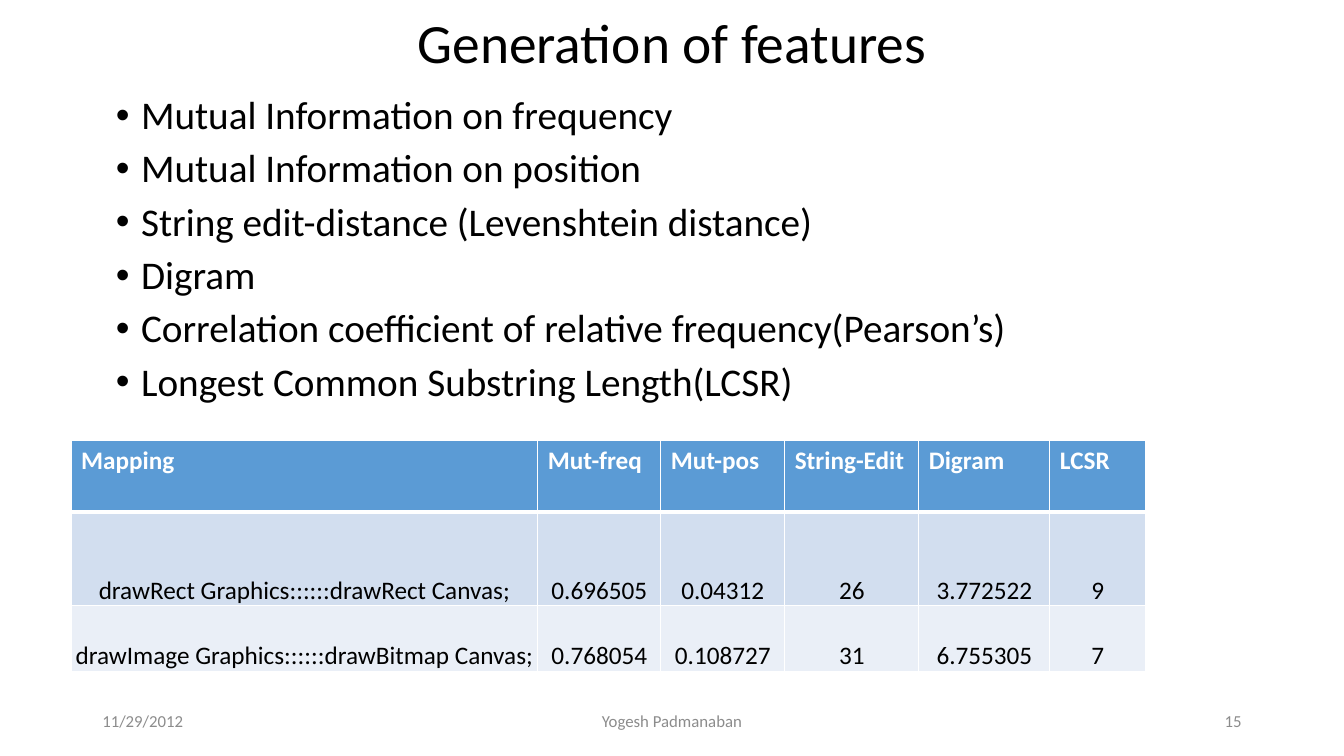
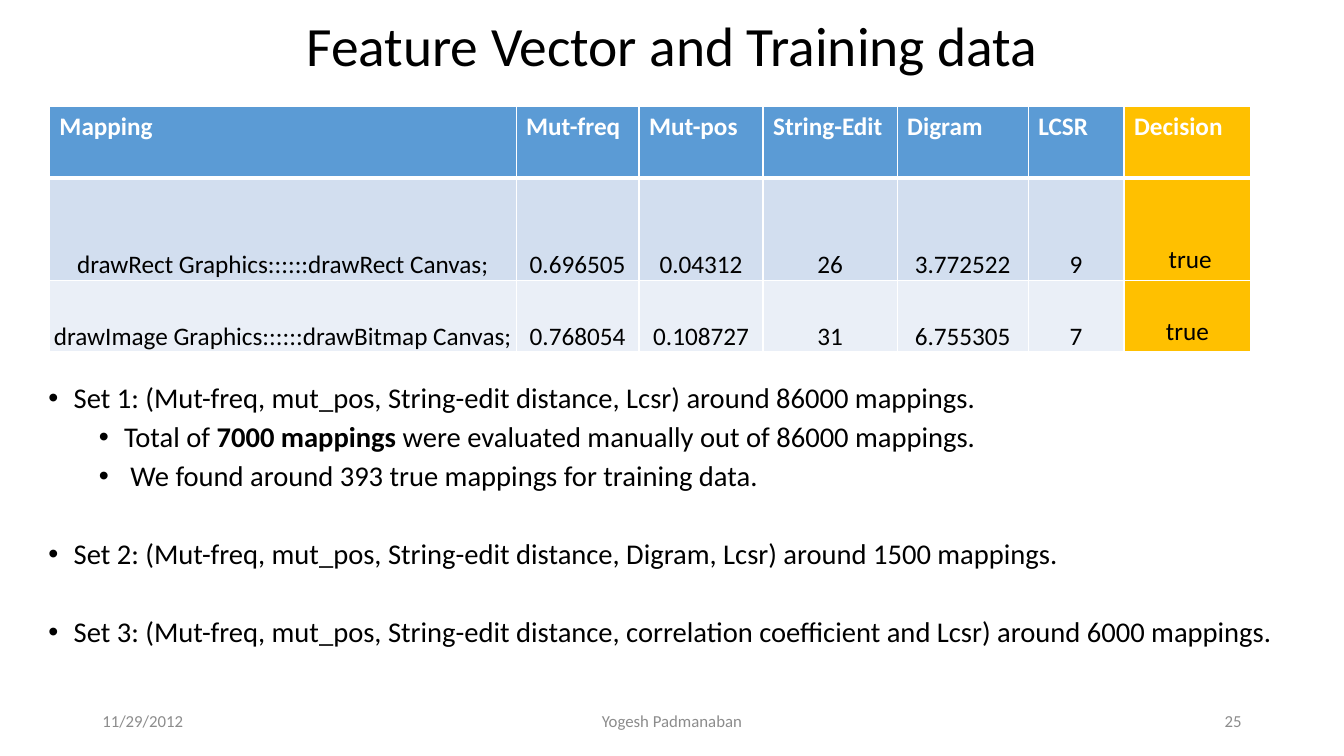
import dataclasses

import lxml.etree
import pptx
import pptx.dml.color
import pptx.enum.text
import pptx.oxml.ns
import pptx.util

Pt = pptx.util.Pt
Align = pptx.enum.text.PP_ALIGN
Anchor = pptx.enum.text.MSO_ANCHOR


@dataclasses.dataclass(frozen=True)
class Theme:
    font: str = "Calibri"
    text: str = "000000"
    light: str = "FFFFFF"
    muted: str = "8C8C8C"
    header: str = "5B9BD5"
    bands: tuple = ("D2DEEF", "EAEFF7")
    decision: str = "FFC000"
    title_size: float = 39.6
    table_size: float = 18
    footer_size: float = 12
    line_spacing: float = 0.9
    gap_ratio: float = 0.28


THEME = Theme()
SLIDE_WIDTH, SLIDE_HEIGHT = 960, 540
MARGIN = 66

FEATURES = [
    "Mutual Information on frequency",
    "Mutual Information on position",
    "String edit-distance (Levenshtein distance)",
    "Digram",
    "Correlation coefficient of relative frequency(Pearson’s)",
    "Longest Common Substring Length(LCSR)",
]
TRAINING_SETS = [
    (0, 0, ["Set 1: (Mut-freq, mut_pos, String-edit distance, Lcsr) around 86000 mappings."]),
    (1, 0, ["Total of ", "7000 mappings ", "were evaluated manually out of 86000 mappings."]),
    (1, 0, [" We found around 393 true mappings for training data."]),
    (0, 28, ["Set 2: (Mut-freq, mut_pos, String-edit distance, Digram, Lcsr) around 1500 mappings."]),
    (0, 28, ["Set 3: (Mut-freq, mut_pos, String-edit distance, correlation coefficient and Lcsr) "
             "around 6000 mappings."]),
]
MAPPING_ROWS = [
    ["Mapping", "Mut-freq", "Mut-pos", "String-Edit", "Digram", "LCSR"],
    ["drawRect Graphics::::::drawRect Canvas;", "0.696505", "0.04312", "26", "3.772522", "9"],
    ["drawImage Graphics::::::drawBitmap Canvas;", "0.768054", "0.108727", "31", "6.755305", "7"],
]
DECISIONS = ["Decision", " true", "true"]
MAPPING_WIDTHS = [333.4, 87.8, 88.6, 95.8, 93.6, 68.4]
DECISION_WIDTH = 90.7


def rgb(value):
    return pptx.dml.color.RGBColor.from_string(value)


def add_run(paragraph, text, size, color, bold=False):
    run = paragraph.add_run()
    run.text = text
    run.font.name = THEME.font
    run.font.size = Pt(size)
    run.font.bold = bold
    run.font.color.rgb = rgb(color)


def place(shape, left, top, width, height):
    shape.left, shape.top = Pt(left), Pt(top)
    shape.width, shape.height = Pt(width), Pt(height)


def prepare_frame(shape, anchor):
    frame = shape.text_frame
    frame.word_wrap = True
    frame.auto_size = pptx.enum.text.MSO_AUTO_SIZE.NONE
    frame.vertical_anchor = anchor
    return frame


def set_title(slide, text, top, height):
    title = slide.shapes.title
    place(title, MARGIN, top, SLIDE_WIDTH - 2 * MARGIN, height)
    paragraph = prepare_frame(title, Anchor.MIDDLE).paragraphs[0]
    paragraph.alignment = Align.CENTER
    paragraph.line_spacing = THEME.line_spacing
    add_run(paragraph, text, THEME.title_size, THEME.text)


def set_bullet(paragraph, level):
    paragraph.level = level
    properties = paragraph._p.get_or_add_pPr()
    properties.set("marL", str(Pt(18 + 36 * level)))
    properties.set("indent", str(-Pt(18)))
    for tag, name, value in (("a:buFont", "typeface", "Arial"), ("a:buChar", "char", "•")):
        element = lxml.etree.SubElement(properties, pptx.oxml.ns.qn(tag))
        element.set(name, value)


def set_list(slide, items, size, box):
    body = slide.placeholders[1]
    place(body, *box)
    frame = prepare_frame(body, Anchor.TOP)
    for index, (level, extra_gap, runs) in enumerate(items):
        paragraph = frame.add_paragraph() if index else frame.paragraphs[0]
        set_bullet(paragraph, level)
        paragraph.alignment = Align.LEFT
        paragraph.line_spacing = THEME.line_spacing
        paragraph.space_before = Pt(size * THEME.gap_ratio + extra_gap if index else 0)
        for position, text in enumerate(runs):
            add_run(paragraph, text, size, THEME.text, bold=position == 1)


def add_footer(slide, number):
    for text, left, width, alignment in (
        ("11/29/2012", MARGIN, 258, Align.LEFT),
        ("Yogesh Padmanaban", 366, 228, Align.CENTER),
        (number, 636, 258, Align.RIGHT),
    ):
        box = slide.shapes.add_textbox(Pt(left), Pt(500.4), Pt(width), Pt(28.8))
        paragraph = prepare_frame(box, Anchor.MIDDLE).paragraphs[0]
        paragraph.alignment = alignment
        add_run(paragraph, text, THEME.footer_size, THEME.muted)


def set_borders(cell, top, bottom):
    properties = cell._tc.get_or_add_tcPr()
    for tag, width in (("a:lnL", 1), ("a:lnR", 1), ("a:lnT", top), ("a:lnB", bottom)):
        line = lxml.etree.SubElement(properties, pptx.oxml.ns.qn(tag))
        line.set("w", str(Pt(width)))
        fill = lxml.etree.SubElement(line, pptx.oxml.ns.qn("a:solidFill"))
        lxml.etree.SubElement(fill, pptx.oxml.ns.qn("a:srgbClr")).set("val", THEME.light)


def fill_cell(cell, text, row, is_decision):
    is_header = row == 0
    set_borders(cell, 3 if row == 1 else 1, 3 if is_header else 1)
    background = THEME.header if is_header else THEME.bands[row - 1]
    cell.fill.solid()
    cell.fill.fore_color.rgb = rgb(THEME.decision if is_decision else background)
    cell.vertical_anchor = Anchor.TOP if is_header else Anchor.BOTTOM
    if not is_header and not is_decision:
        cell.margin_left = cell.margin_right = cell.margin_top = Pt(0.72)
        cell.margin_bottom = Pt(0)
    paragraph = cell.text_frame.paragraphs[0]
    paragraph.alignment = Align.LEFT if is_header else Align.CENTER
    color = THEME.light if is_header else THEME.text
    add_run(paragraph, text, THEME.table_size, color, bold=is_header)


def add_mapping_table(slide, left, top, heights, with_decision=False):
    rows, widths = MAPPING_ROWS, MAPPING_WIDTHS
    if with_decision:
        rows = [row + [decision] for row, decision in zip(rows, DECISIONS)]
        widths = widths + [DECISION_WIDTH]
    table = slide.shapes.add_table(
        len(rows), len(widths), Pt(left), Pt(top), Pt(sum(widths)), Pt(sum(heights))
    ).table
    table.horz_banding = False
    for column, width in zip(table.columns, widths):
        column.width = Pt(width)
    for row, (texts, height) in enumerate(zip(rows, heights)):
        table.rows[row].height = Pt(height)
        for column, text in enumerate(texts):
            fill_cell(table.cell(row, column), text, row, column == len(MAPPING_WIDTHS))


def add_slide(presentation, title, title_top, title_height, number):
    slide = presentation.slides.add_slide(presentation.slide_layouts[1])
    set_title(slide, title, title_top, title_height)
    add_footer(slide, number)
    return slide


def main():
    presentation = pptx.Presentation()
    presentation.slide_width = Pt(SLIDE_WIDTH)
    presentation.slide_height = Pt(SLIDE_HEIGHT)

    slide = add_slide(presentation, "Generation of features", 8.6, 47.5, "15")
    set_list(slide, [(0, 0, [text]) for text in FEATURES], 28, (75.6, 64.8, 828, 371.5))
    add_mapping_table(slide, 50.8, 314.8, [50.8, 67.2, 47])

    slide = add_slide(presentation, "Feature Vector and Training data", 10, 49, "25")
    set_list(slide, TRAINING_SETS, 20.4, (27.4, 270.7, 908.6, 222.5))
    add_mapping_table(slide, 35.3, 76.3, [50.8, 73, 51.2], with_decision=True)

    presentation.save("out.pptx")


if __name__ == "__main__":
    main()
